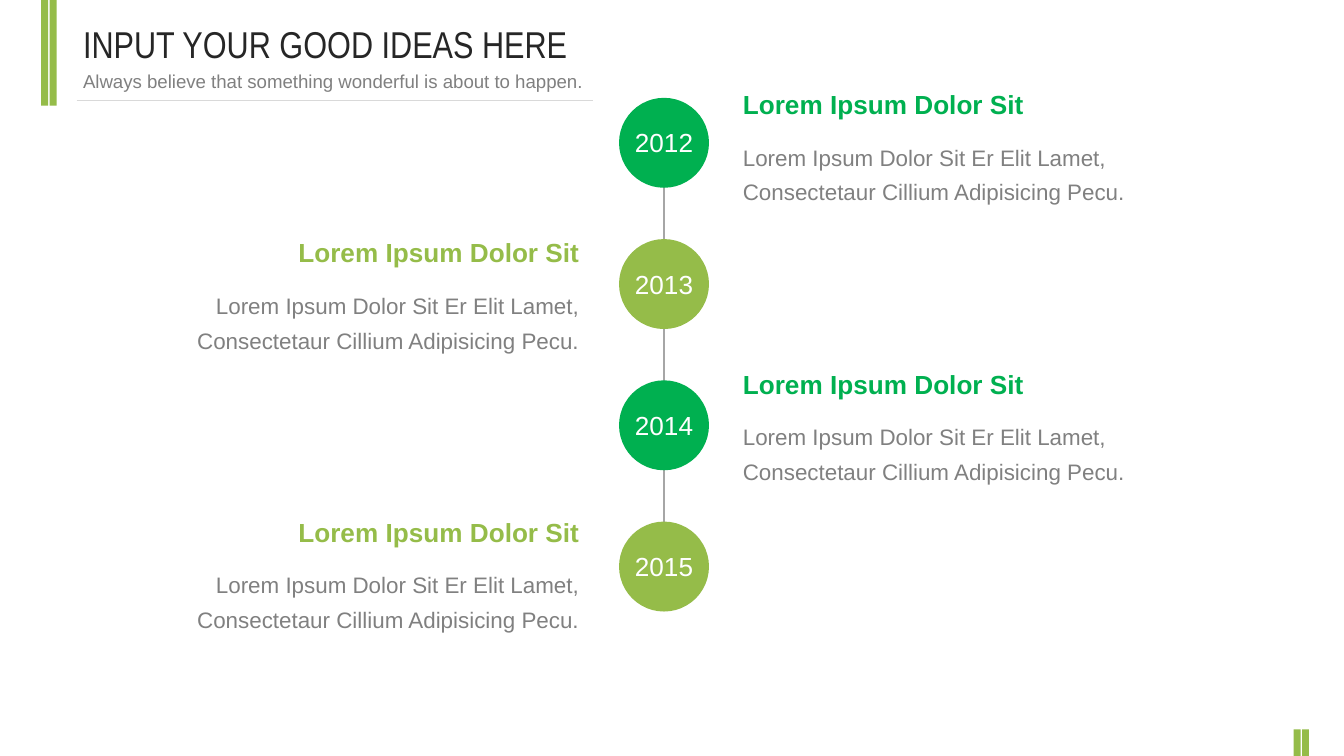
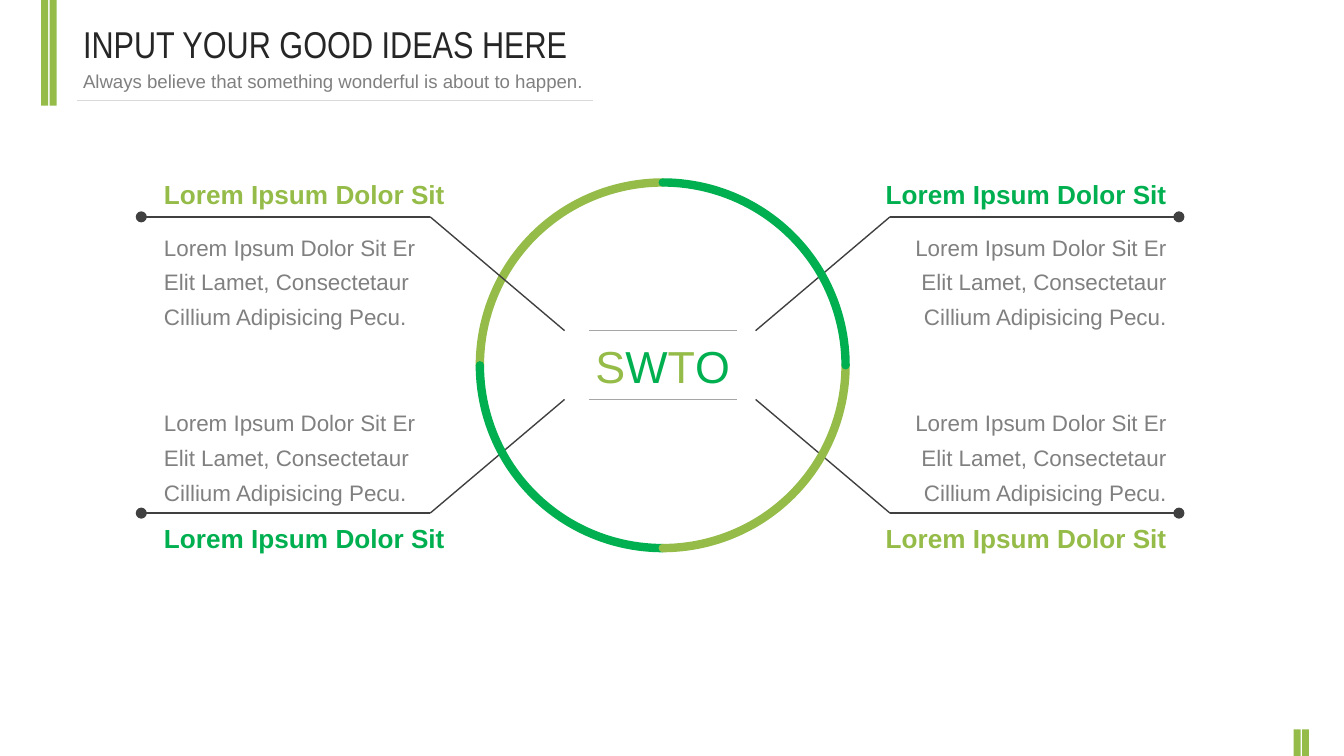
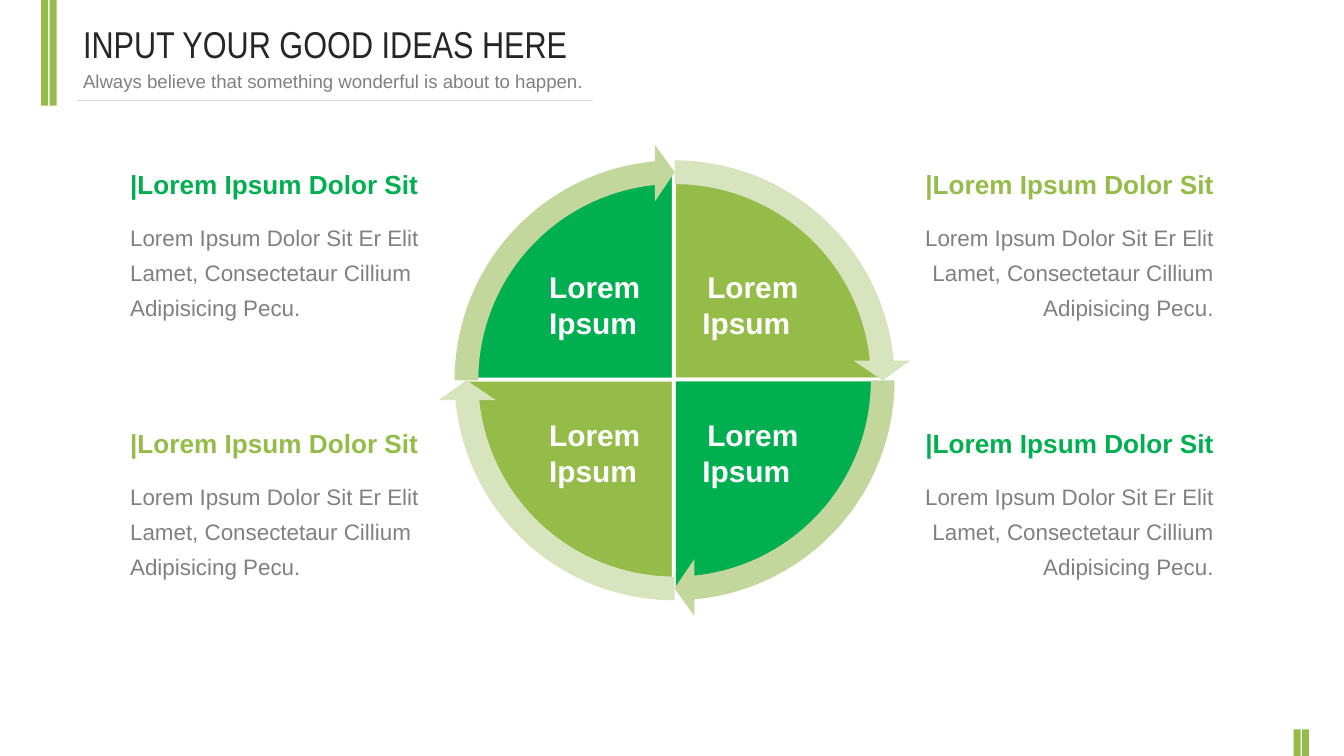
import lxml.etree
import pptx
import pptx.dml.color
import pptx.enum.shapes
import pptx.enum.text
import pptx.oxml.ns
import pptx.util

COLORS = {
    "green": "00B050",
    "lime": "95BC49",
    "pale": "D7E4BD",
    "sage": "C3D69B",
    "title": "262626",
    "body": "808080",
    "dark": "404040",
    "rule": "A6A6A6",
    "light_rule": "D9D9D9",
    "white": "FFFFFF",
}
HEADING = "Lorem Ipsum Dolor Sit"
BODY = "Lorem Ipsum Dolor Sit Er Elit Lamet, Consectetaur Cillium Adipisicing Pecu."
LEFT = pptx.enum.text.PP_ALIGN.LEFT
CENTER = pptx.enum.text.PP_ALIGN.CENTER
RIGHT = pptx.enum.text.PP_ALIGN.RIGHT
STRAIGHT = pptx.enum.shapes.MSO_CONNECTOR.STRAIGHT
PRESETS = pptx.enum.shapes.MSO_SHAPE


def add_text(slide, box, text, size, color, align=LEFT, bold=None,
             font="Arial", wrap=True, spaced=False):
    text_frame = slide.shapes.add_textbox(*map(pptx.util.Cm, box)).text_frame
    text_frame.word_wrap = wrap
    text_frame.auto_size = pptx.enum.text.MSO_AUTO_SIZE.SHAPE_TO_FIT_TEXT
    text_frame.text = text
    for paragraph in text_frame.paragraphs:
        paragraph.alignment = align
        if spaced:
            paragraph.line_spacing = 1.3
            paragraph.space_before = pptx.util.Pt(6)
        for run in paragraph.runs:
            run.font.name = font
            run.font.size = pptx.util.Pt(size)
            run.font.bold = bold
            run.font.color.rgb = pptx.dml.color.RGBColor.from_string(COLORS[color])
    return text_frame


def paint(shape, fill=None, line=None, width=0.75):
    """Set fill and line of a shape or connector and drop its shadow."""
    if fill:
        shape.fill.solid()
        shape.fill.fore_color.rgb = pptx.dml.color.RGBColor.from_string(COLORS[fill])
    if line:
        shape.line.color.rgb = pptx.dml.color.RGBColor.from_string(COLORS[line])
        shape.line.width = pptx.util.Pt(width)
    else:
        shape.line.fill.background()
    properties = shape.element.spPr
    lxml.etree.SubElement(properties, pptx.oxml.ns.qn("a:effectLst"))
    return properties.find(pptx.oxml.ns.qn("a:ln"))


presentation = pptx.Presentation()
presentation.slide_width = pptx.util.Cm(25.4)
presentation.slide_height = pptx.util.Cm(14.29)
layout = presentation.slide_layouts[6]
for placeholder in list(layout.placeholders):
    layout.shapes.element.remove(placeholder.element)

# Title and subtitle of every slide
slides = [presentation.slides.add_slide(layout) for _ in range(3)]
for slide in slides:
    add_text(slide, (1.32, 0.28, 10.74, 1.12), "INPUT YOUR GOOD IDEAS HERE",
             20, "title", font="Arial Narrow")
    add_text(slide, (1.32, 1.19, 10.74, 0.69),
             "Always believe that something wonderful is about to happen.", 10, "body")
timeline_slide, swto_slide, cycle_slide = slides

# Bars and title rule, drawn once and moved to the layout
decorations = []
for left, top, height in ((0.78, 0, 2), (0.94, 0, 2), (24.45, 13.79, 0.5), (24.61, 13.79, 0.5)):
    bar = timeline_slide.shapes.add_shape(
        PRESETS.RECTANGLE, *map(pptx.util.Cm, (left, top, 0.13, height)))
    paint(bar, fill="lime")
    decorations.append(bar)
title_rule = timeline_slide.shapes.add_connector(
    STRAIGHT, *map(pptx.util.Cm, (1.45, 1.9, 11.2, 1.9)))
paint(title_rule, line="light_rule")
decorations.append(title_rule)
for decoration in decorations:
    layout.shapes.element.append(decoration.element)

# Slide 1: timeline
axis = timeline_slide.shapes.add_connector(
    STRAIGHT, *map(pptx.util.Cm, (12.55, 2.84, 12.55, 10.85)))
paint(axis, line="rule")
for index in range(4):
    color = ("green", "lime")[index % 2]
    top = 1.85 + 2.67 * index
    circle = timeline_slide.shapes.add_shape(
        PRESETS.OVAL, *map(pptx.util.Cm, (11.7, top, 1.7, 1.7)))
    paint(circle, fill=color)
    add_text(timeline_slide, (11.74, top + 0.42, 1.62, 0.86), str(2012 + index),
             14, "white", CENTER, wrap=False)

    left, align = ((13.79, LEFT), (3.1, RIGHT))[index % 2]
    entry_top = 1.55 + 5.28 * (index // 2) + 2.8 * (index % 2)
    add_text(timeline_slide, (left, entry_top, 8.1, 0.86), HEADING, 14, color, align, True)
    add_text(timeline_slide, (left, entry_top + 0.89, 8.1, 1.6), BODY, 12, "body",
             align, spaced=True)

# Slide 2: callouts, mirrored about the vertical axis
for side, align in enumerate((LEFT, RIGHT)):
    outer, knee, inner = [24.95 - x if side else x for x in (2.67, 8.13, 10.67)]
    heading_left, body_left = ((2.85, 2.85), (16.08, 17.04))[side]
    for row, (outer_y, inner_y, heading_top, body_top) in enumerate(
            ((4.1, 6.25, 3.25, 4.14), (9.7, 7.55, 9.75, 7.46))):
        color = ("lime", "green")[(side + row) % 2]
        level = swto_slide.shapes.add_connector(
            STRAIGHT, *map(pptx.util.Cm, (outer, outer_y, knee, outer_y)))
        outline = paint(level, line="dark")
        lxml.etree.SubElement(outline, pptx.oxml.ns.qn("a:headEnd"), type="oval")
        slant = swto_slide.shapes.add_connector(
            STRAIGHT, *map(pptx.util.Cm, (knee, outer_y, inner, inner_y)))
        paint(slant, line="dark")
        add_text(swto_slide, (heading_left, heading_top, 6.22, 0.86), HEADING, 14,
                 color, align, True)
        add_text(swto_slide, (body_left, body_top, 5.26, 2.26), BODY, 12, "body",
                 align, spaced=True)

# Slide 2: centre word between two rules
for y in (6.25, 7.55):
    rule = swto_slide.shapes.add_connector(
        STRAIGHT, *map(pptx.util.Cm, (11.13, y, 13.92, y)))
    paint(rule, line="rule")
word = add_text(swto_slide, (11, 6.28, 3.05, 1.27), "S", 24, "lime", CENTER, wrap=False)
for letter, color in (("W", "green"), ("T", "lime"), ("O", "green")):
    run = word.paragraphs[0].add_run()
    run.text = letter
    run.font.name = "Arial"
    run.font.size = pptx.util.Pt(24)
    run.font.color.rgb = pptx.dml.color.RGBColor.from_string(COLORS[color])

# Slide 2: ring of four arcs, the first one behind the callouts
for rotation, color in ((0, "lime"), (270, "green"), (180, "lime"), (90, "green")):
    arc = swto_slide.shapes.add_shape(
        PRESETS.ARC, *map(pptx.util.Cm, (9.07, 3.45, 6.91, 6.91)))
    arc.adjustments[0] = 108
    arc.adjustments[1] = 162
    arc.rotation = rotation
    arc.fill.background()
    paint(arc, line=color, width=4.5).set("cap", "rnd")
    if rotation == 0:
        swto_slide.shapes.element.insert(2, arc.element)

# Slide 3: quarters and arrows; a full turn is 216 adjustment units
QUARTER = 54
starts = (162, 0, 54, 108)
for index, start in enumerate(starts):
    wedge = cycle_slide.shapes.add_shape(
        PRESETS.PIE, *map(pptx.util.Cm, (8.76, 3.2, 7.95, 7.95)))
    wedge.adjustments[0] = start
    wedge.adjustments[1] = (start + QUARTER) % 216
    paint(wedge, fill=("lime", "green")[index % 2], line="white", width=2)
for index, start in enumerate(starts):
    arrow = cycle_slide.shapes.add_shape(
        PRESETS.CIRCULAR_ARROW, *map(pptx.util.Cm, (8.28, 2.72, 8.94, 8.94)))
    for position, value in enumerate((0.05, 3.28, start + 50.73, start, 0.06)):
        arrow.adjustments[position] = value
    paint(arrow, fill=("pale", "sage")[index % 2])

# Slide 3: quarter labels and entries
for row in range(2):
    for side, (label, label_left, entry_left, align) in enumerate((
            ("Lorem\nIpsum", 10.13, 2.21, LEFT),
            ("Lorem\nIpsum ", 12.98, 16.89, RIGHT))):
        add_text(cycle_slide, (label_left, 4.95 + 2.8 * row, 2.36, 1.62), label, 16,
                 "white", align, True, wrap=False)
        top = 3.06 + 4.9 * row
        add_text(cycle_slide, (entry_left, top, 6.3, 0.86), "|" + HEADING, 14,
                 ("green", "lime")[(side + row) % 2], align, True)
        add_text(cycle_slide, (entry_left, top + 0.9, 6.3, 2.26), BODY, 12, "body",
                 align, spaced=True)

presentation.save("out.pptx")
